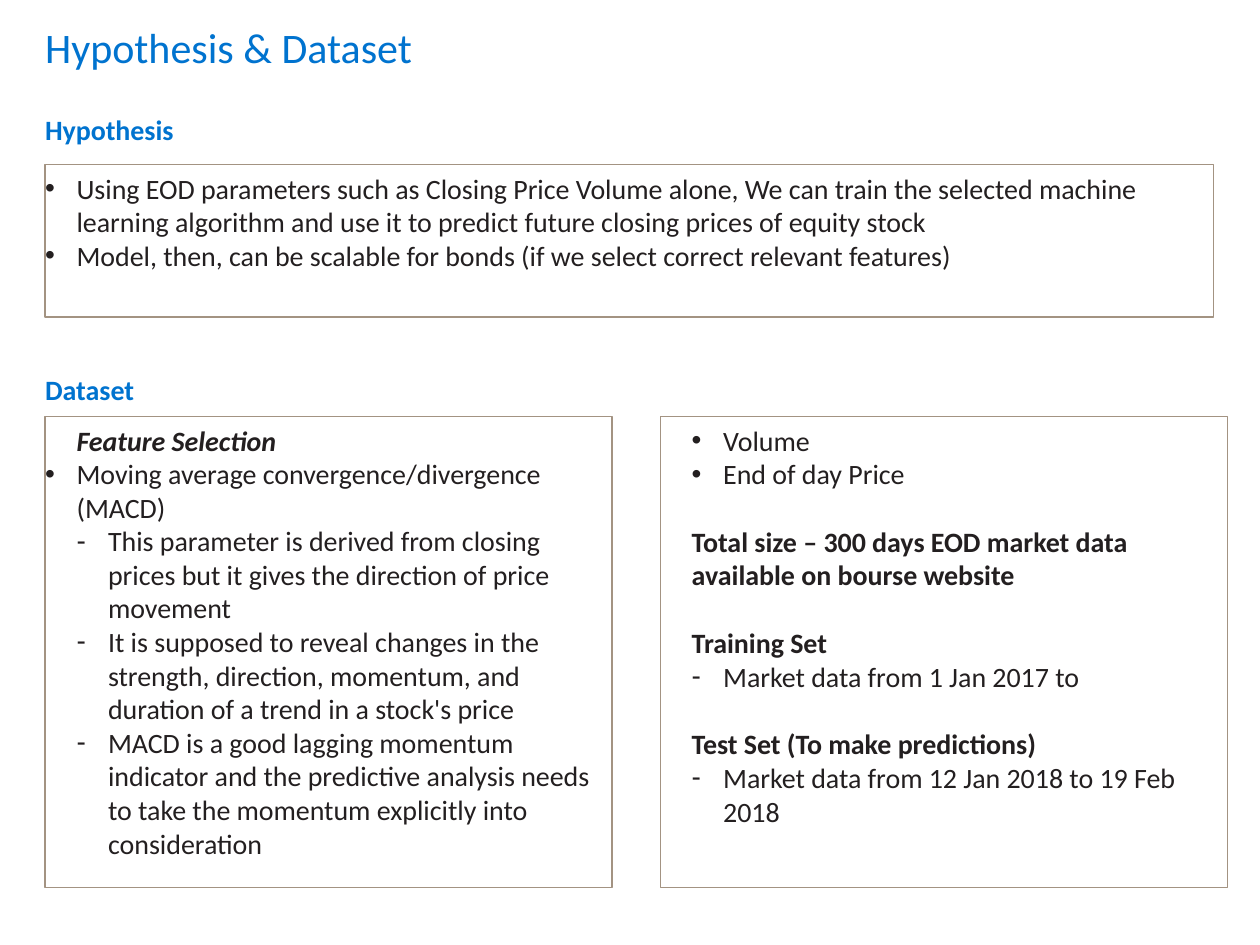
import dataclasses

import lxml.etree
import pptx
import pptx.dml.color
import pptx.enum.shapes
import pptx.enum.text
import pptx.oxml.ns
import pptx.util

Cm = pptx.util.Cm
Pt = pptx.util.Pt
STEP = 0.635
LEFT = 0.91
WIDE = 23.55
HALF = 11.43


@dataclasses.dataclass(frozen=True)
class Theme:
    """Colours, font and type sizes of the slide."""

    font: str = "Calibri"
    blue: str = "0073CF"
    ink: str = "231F20"
    border: str = "A39382"
    title_size: int = 24
    body_size: int = 16
    gap: float = 19.5


@dataclasses.dataclass(frozen=True)
class Item:
    """One paragraph with its indent step, bullet and emphasis."""

    text: str
    level: int = 0
    bullet: str = ""
    bold: bool = False
    italic: bool = False
    gap: bool = False


THEME = Theme()

HYPOTHESIS = [
    Item("Using EOD parameters such as Closing Price Volume alone, We can train the selected "
         "machine learning algorithm and use it to predict future closing prices of equity stock",
         1, "•"),
    Item("Model, then, can be scalable for bonds (if we select correct relevant features)", 1, "•"),
]
FEATURES = [
    Item("Feature Selection", 1, bold=True, italic=True),
    Item("Moving average convergence/divergence (MACD)", 1, "•"),
    Item("This parameter is derived from closing prices but it gives the direction of price "
         "movement", 2, "-"),
    Item("It is supposed to reveal changes in the strength, direction, momentum, and duration "
         "of a trend in a stock's price", 2, "-"),
    Item("MACD is a good lagging momentum indicator and the predictive analysis needs to take "
         "the momentum explicitly into consideration", 2, "-"),
]
DATA = [
    Item("Volume", 2, "•"),
    Item("End of day Price", 2, "•"),
    Item("Total size – 300 days EOD market data available on bourse website", 1, bold=True,
         gap=True),
    Item("Training Set", 1, bold=True, gap=True),
    Item("Market data from 1 Jan 2017 to", 2, "-"),
    Item("Test Set (To make predictions)", 1, bold=True, gap=True),
    Item("Market data from 12 Jan 2018 to 19 Feb 2018", 2, "-"),
]


def colour(value):
    """Return the colour for a hex value."""
    return pptx.dml.color.RGBColor.from_string(value)


def set_bullet(para, item):
    """Give a paragraph its indent and its bullet character."""
    properties = para._p.get_or_add_pPr()
    properties.set("marL", str(Cm(STEP * item.level)))
    properties.set("indent", str(Cm(-STEP if item.bullet else 0)))
    if item.bullet:
        font = lxml.etree.SubElement(properties, pptx.oxml.ns.qn("a:buFont"))
        font.set("typeface", "Arial")
        mark = lxml.etree.SubElement(properties, pptx.oxml.ns.qn("a:buChar"))
        mark.set("char", item.bullet)
    else:
        lxml.etree.SubElement(properties, pptx.oxml.ns.qn("a:buNone"))


def fill_text(shape, items, size, ink):
    """Write the items into a shape and format them."""
    frame = shape.text_frame
    frame.word_wrap = True
    frame.auto_size = pptx.enum.text.MSO_AUTO_SIZE.NONE
    frame.vertical_anchor = pptx.enum.text.MSO_ANCHOR.TOP
    frame.margin_left = frame.margin_right = 0
    frame.margin_top = frame.margin_bottom = Cm(0.13)
    frame.text = "\n".join(item.text for item in items)
    for para, item in zip(frame.paragraphs, items):
        para.alignment = pptx.enum.text.PP_ALIGN.LEFT
        para.space_before = Pt(THEME.gap if item.gap else 0)
        set_bullet(para, item)
        for span in para.runs:
            span.font.name = THEME.font
            span.font.size = Pt(size)
            span.font.bold = item.bold
            span.font.italic = item.italic
            span.font.color.rgb = colour(ink)


def set_title(slide, text):
    """Place and format the title placeholder."""
    title = slide.shapes.title
    title.left, title.top, title.width, title.height = Cm(LEFT), Cm(0.3), Cm(WIDE), Cm(2.26)
    fill_text(title, [Item(text)], THEME.title_size, THEME.blue)


def add_heading(slide, text, top):
    """Add a bold section heading."""
    box = slide.shapes.add_textbox(Cm(LEFT), Cm(top), Cm(WIDE), Cm(1.02))
    fill_text(box, [Item(text, bold=True)], THEME.body_size, THEME.blue)


def add_panel(slide, items, left, top, width, height):
    """Add an outlined box of paragraphs."""
    panel = slide.shapes.add_shape(
        pptx.enum.shapes.MSO_SHAPE.RECTANGLE, Cm(left), Cm(top), Cm(width), Cm(height))
    panel.shadow.inherit = False
    panel.fill.background()
    panel.line.color.rgb = colour(THEME.border)
    panel.line.width = Pt(0.75)
    fill_text(panel, items, THEME.body_size, THEME.ink)


def main():
    """Build the slide and save the deck."""
    deck = pptx.Presentation()
    deck.slide_width, deck.slide_height = Cm(25.4), Cm(19.05)
    slide = deck.slides.add_slide(deck.slide_layouts[5])
    set_title(slide, "Hypothesis & Dataset")
    add_heading(slide, "Hypothesis", 2.13)
    add_panel(slide, HYPOTHESIS, LEFT, 3.32, WIDE, 3.07)
    add_heading(slide, "Dataset", 7.39)
    for column, items in enumerate([FEATURES, DATA]):
        add_panel(slide, items, LEFT + column * 12.4, 8.4, HALF, 9.5)
    deck.save("out.pptx")


main()
